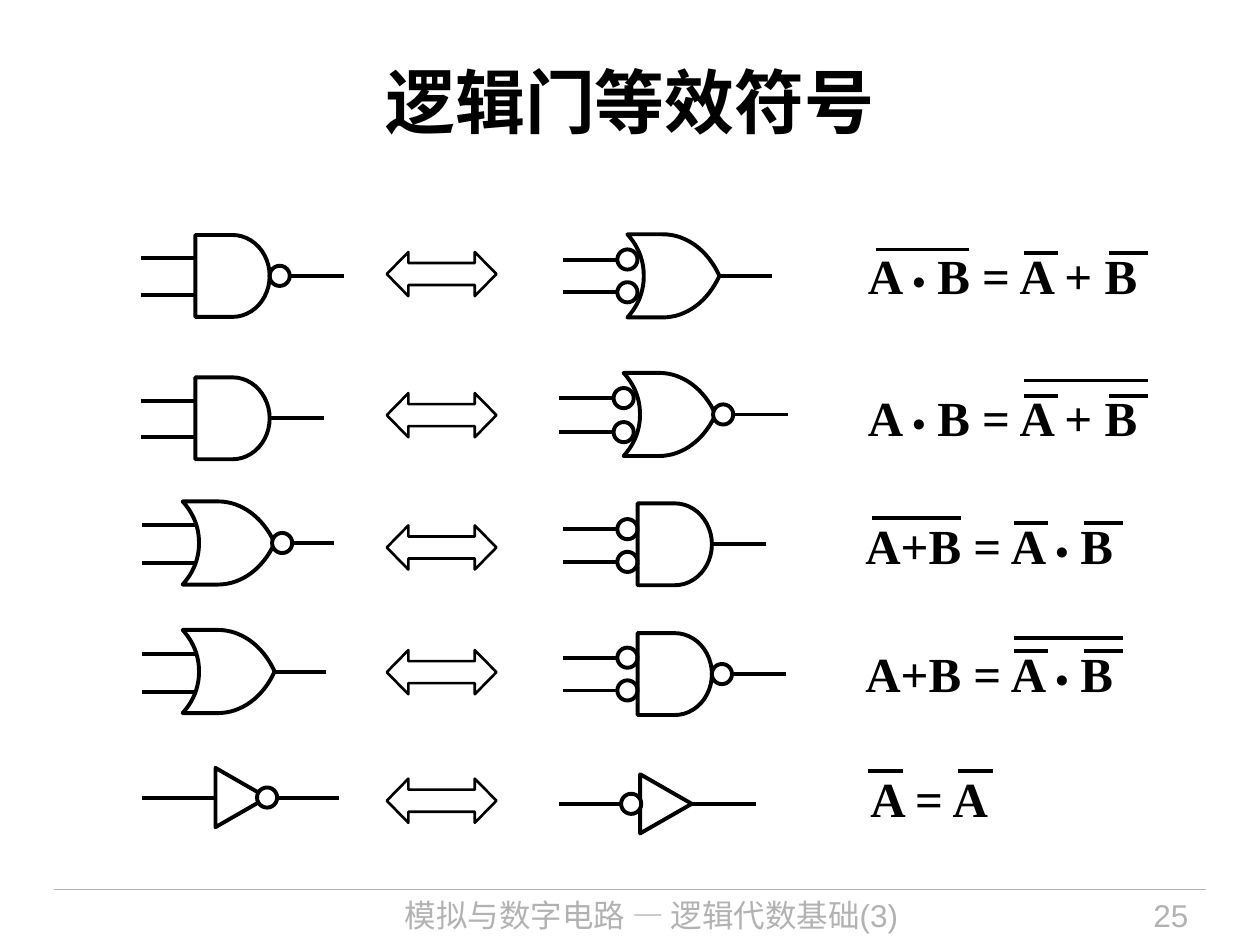
from lxml.etree import SubElement
from pptx import Presentation
from pptx.dml.color import RGBColor
from pptx.enum.shapes import MSO_CONNECTOR, MSO_SHAPE
from pptx.enum.text import MSO_ANCHOR, MSO_AUTO_SIZE, PP_ALIGN
from pptx.oxml.ns import qn
from pptx.util import Inches, Pt

THEME = {
    "ink": RGBColor(0, 0, 0), "paper": RGBColor(255, 255, 255),
    "muted": RGBColor(0xB2, 0xB2, 0xB2),
    "sans": "Arial", "serif": "Times New Roman",
    "title": 40, "formula": 28, "dot": 20, "footer": 18,
    "stroke": 2.25, "arrow": 1.5, "rule": 0.75,
}

TITLE = "逻辑门等效符号"
FOOTER = "模拟与数字电路 — 逻辑代数基础(3)"
PAGE = "25"

# body left, centre y, input left, input heights, output end, negated inputs / output
GATES = [
    dict(kind="and", left=1.55, mid=2.19, start=1.12, inputs=(2.05, 2.34), end=2.73, neg_out=True),
    dict(kind="or", left=4.98, mid=2.19, start=4.47, inputs=(2.06, 2.32), end=6.13, neg_in=True),
    dict(kind="and", left=1.55, mid=3.32, start=1.12, inputs=(3.18, 3.47), end=2.57),
    dict(kind="or", left=4.95, mid=3.29, start=4.44, inputs=(3.16, 3.43), end=6.25,
         neg_in=True, neg_out=True),
    dict(kind="or", left=1.45, mid=4.31, start=1.13, inputs=(4.17, 4.47), end=2.65, neg_out=True),
    dict(kind="and", left=5.06, mid=4.32, start=4.47, inputs=(4.2, 4.46), end=6.08, neg_in=True),
    dict(kind="or", left=1.45, mid=5.33, start=1.13, inputs=(5.19, 5.49), end=2.59),
    dict(kind="and", left=5.06, mid=5.35, start=4.47, inputs=(5.22, 5.48), end=6.24,
         neg_in=True, neg_out=True),
]
# wire left, triangle left, bubble left, centre y
INVERTERS = [(1.13, 1.71, 2.04, 6.33), (4.44, 5.08, 4.93, 6.38)]
ARROW_TOPS = [2.0, 3.12, 4.17, 5.16, 6.18]

# left, top, width, formula, overbars as (from x, to x, distance below top)
PLUS_BARS = [(8.13, 8.4, 0.11), (8.8, 9.11, 0.11)]
DOT_BARS = [(8.05, 8.32, 0.11), (8.6, 8.91, 0.11)]
FORMULAS = [
    (6.79, 1.9, 2.38, "A • B = A + B", PLUS_BARS + [(6.95, 7.69, 0.08)]),
    (6.79, 3.03, 2.38, "A • B = A + B", PLUS_BARS + [(8.13, 9.11, -0.01)]),
    (6.77, 4.04, 2.2, "A+B = A • B", DOT_BARS + [(6.92, 7.63, 0.07)]),
    (6.77, 5.06, 2.2, "A+B = A • B", DOT_BARS + [(8.05, 8.91, 0)]),
    (6.81, 6.05, 1.17, "A = A", [(6.89, 7.17, 0.07), (7.6, 7.88, 0.07)]),
]

BUBBLE = 0.16
INPUT_LENGTH = 0.43
AND_WIDTH, AND_HEIGHT = 0.59, 0.65
OR_REACH = 0.71
# upper half of an OR body, measured from the back edge and the centre line
OR_BACK = [(0.13, 0), (0.13, -0.12), (0.09, -0.23), (0, -0.33)]
OR_FRONT = [(0.28, -0.33), (0.47, -0.33), (0.64, -0.2), (0.73, 0)]

prs = Presentation()
prs.slide_width, prs.slide_height = Inches(10), Inches(7.5)
shapes = prs.slides.add_slide(prs.slide_layouts[6]).shapes


def add_text(text, left, top, width, height, size, color="ink", font="sans",
             bold=False, align=PP_ALIGN.LEFT, anchor=MSO_ANCHOR.TOP, wrap=True):
    """Add a text box; bullet dots inside a serif text become smaller sans dots."""
    box = shapes.add_textbox(Inches(left), Inches(top), Inches(width), Inches(height))
    frame = box.text_frame
    frame.word_wrap, frame.vertical_anchor = wrap, anchor
    if not wrap:
        frame.auto_size = MSO_AUTO_SIZE.SHAPE_TO_FIT_TEXT
    paragraph = frame.paragraphs[0]
    paragraph.alignment = align
    for part in text.replace("•", "|•|").split("|"):
        run = paragraph.add_run()
        run.text = part
        is_dot = part == "•"
        run.font.name = THEME["sans" if is_dot else font]
        run.font.size = Pt(THEME["dot" if is_dot else size])
        run.font.bold = bold
        run.font.color.rgb = THEME[color]


def add_line(x1, y1, x2, y2, color="ink", weight="stroke"):
    line = shapes.add_connector(MSO_CONNECTOR.STRAIGHT, *map(Inches, (x1, y1, x2, y2)))
    line.line.color.rgb = THEME[color]
    line.line.width = Pt(THEME[weight])
    SubElement(line._element.spPr, qn("a:effectLst"))
    return line


def style(shape, weight="stroke", filled=False):
    shape.shadow.inherit = False
    if filled:
        shape.fill.solid()
        shape.fill.fore_color.rgb = THEME["paper"]
    else:
        shape.fill.background()
    shape.line.color.rgb = THEME["ink"]
    shape.line.width = Pt(THEME[weight])
    return shape


def add_preset(preset, left, top, width, height, **look):
    return style(shapes.add_shape(preset, *map(Inches, (left, top, width, height))), **look)


def add_bubble(left, mid, filled=False):
    add_preset(MSO_SHAPE.OVAL, left, mid - BUBBLE / 2, BUBBLE, BUBBLE, filled=filled)


def bezier(points, steps=16):
    for step in range(steps + 1):
        t = step / steps
        weights = ((1 - t) ** 3, 3 * t * (1 - t) ** 2, 3 * t * t * (1 - t), t ** 3)
        yield tuple(sum(w * p[axis] for w, p in zip(weights, points)) for axis in (0, 1))


def add_or_body(left, mid):
    upper = [*bezier(OR_BACK), *bezier(OR_FRONT)]
    lower = [(x, -y) for x, y in reversed(upper)]
    outline = [(Inches(left + x), Inches(mid + y)) for x, y in upper + lower[1:-1]]
    builder = shapes.build_freeform(*outline[0])
    builder.add_line_segments(outline[1:], close=True)
    style(builder.convert_to_shape())


def add_gate(kind, left, mid, start, inputs, end, neg_in=False, neg_out=False):
    for y in inputs:
        add_line(start, y, start + INPUT_LENGTH, y)
        if neg_in:
            add_bubble(start + INPUT_LENGTH, y)
    tip = left + (AND_WIDTH if kind == "and" else OR_REACH)
    output = add_line(tip + BUBBLE if neg_out else tip, mid, end, mid)
    if kind == "and":
        body = add_preset(MSO_SHAPE.FLOWCHART_DELAY, left, mid - AND_HEIGHT / 2,
                          AND_WIDTH, AND_HEIGHT)
        if not neg_out:
            output.begin_connect(body, 3)
    else:
        add_or_body(left, mid)
    if neg_out:
        add_bubble(tip, mid, filled=kind == "or")


def add_inverter(start, left, bubble_left, mid, base=0.47, depth=0.41):
    add_line(start, mid, start + 1.56, mid)
    triangle = add_preset(MSO_SHAPE.ISOSCELES_TRIANGLE, left + (depth - base) / 2,
                          mid - depth / 2, base, depth, filled=True)
    triangle.rotation = 90
    add_bubble(bubble_left, mid, filled=True)


add_line(0.43, 7.06, 9.57, 7.06, color="muted", weight="rule")
add_text(PAGE, 8.2, 7.06, 1.33, 0.44, "footer", color="muted", align=PP_ALIGN.RIGHT)
add_text(FOOTER, 2.49, 7.06, 5.36, 0.44, "footer", color="muted", align=PP_ALIGN.CENTER)
add_text(TITLE, 0.5, 0.17, 9, 1.25, "title", bold=True,
         align=PP_ALIGN.CENTER, anchor=MSO_ANCHOR.MIDDLE)

for gate in GATES:
    add_gate(**gate)
for inverter in INVERTERS:
    add_inverter(*inverter)
for arrow_top in ARROW_TOPS:
    arrow = add_preset(MSO_SHAPE.LEFT_RIGHT_ARROW, 3.07, arrow_top, 0.87, 0.35, weight="arrow")
    arrow.adjustments[0], arrow.adjustments[1] = 0.5, 0.49
for left, top, width, formula, bars in FORMULAS:
    add_text(formula, left, top, width, 0.57, "formula", font="serif", bold=True, wrap=False)
    for x1, x2, drop in bars:
        add_line(x1, top + drop, x2, top + drop)

prs.save("out.pptx")
